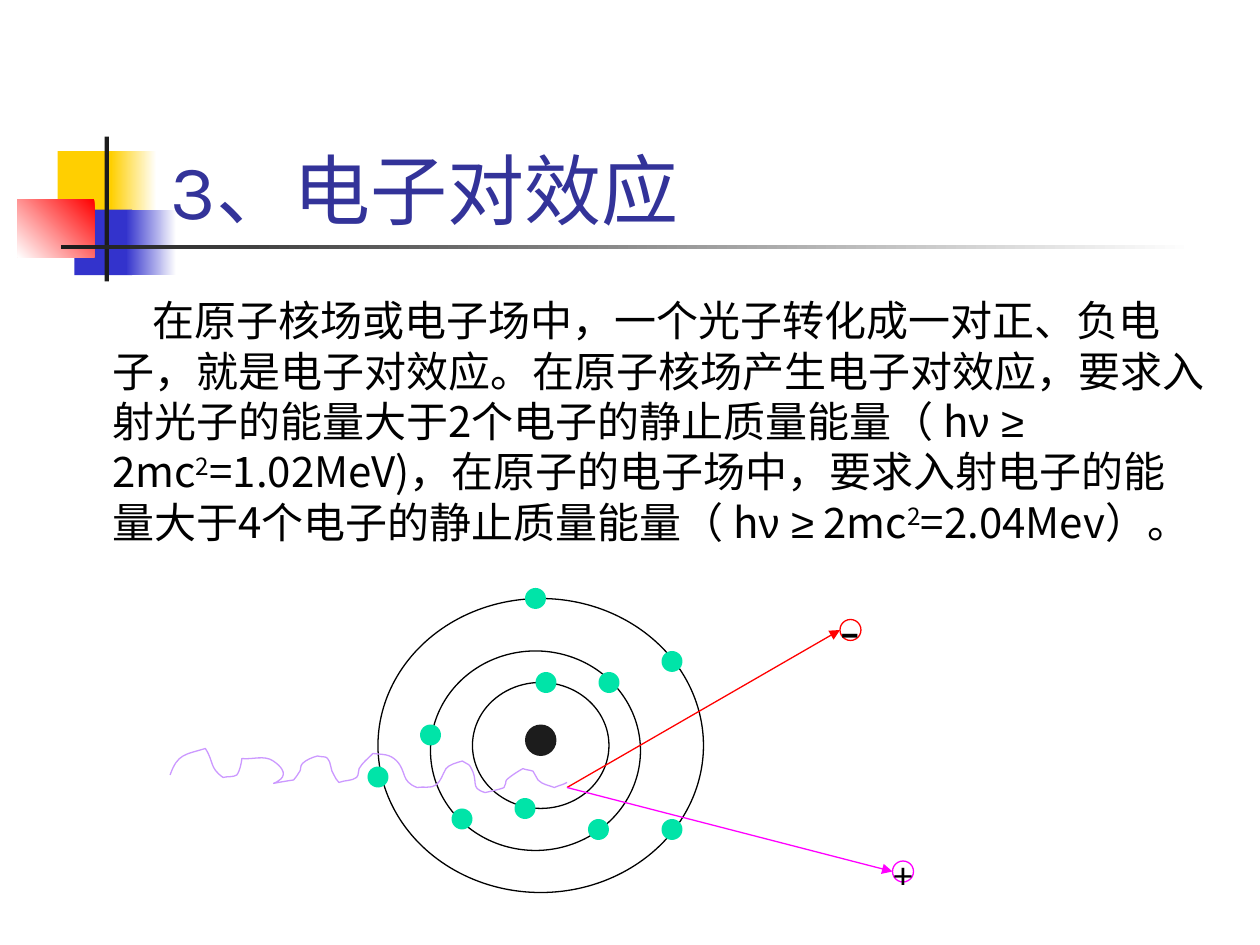
from lxml import etree
from pptx import Presentation
from pptx.dml.color import RGBColor
from pptx.enum import shapes, text
from pptx.oxml import ns
from pptx.util import Pt

BLACK = "000000"
CJK = "Noto Sans CJK SC"


def color(value):
    return RGBColor.from_string(value)


def add_run(paragraph, content, size, font, value):
    run = paragraph.add_run()
    run.text = content
    run.font.size = Pt(size)
    run.font.name = font
    run.font.color.rgb = color(value)
    east_asian = etree.SubElement(run.font._element, ns.qn("a:ea"))
    east_asian.set("typeface", CJK)
    return run


presentation = Presentation()
presentation.slide_width, presentation.slide_height = Pt(720), Pt(540)
slide = presentation.slides.add_slide(presentation.slide_layouts[1])
title, body = slide.placeholders

# Corner decoration: box, then a solid colour or (start, end, angle)
decoration = [
    (33, 86.4, 34.5, 37.5, "FFCF01"),
    (63.4, 86.4, 26, 37.5, ("FFFFFF", "FFCF01", 180)),
    (42.5, 119.8, 33, 37.5, "3333CC"),
    (72, 119.8, 28.8, 37.5, ("FFFFFF", "3333CC", 180)),
    (10, 113.8, 44, 33.1, ("FF0000", "FFFFFF", 225)),
    (59.8, 78, 2.4, 82.8, "1C1C1C"),
    (34.6, 140.1, 648, 2.5, ("FFFFFF", "1C1C1C", 180)),
]
for *box, paint in decoration:
    shape = slide.shapes.add_shape(shapes.MSO_SHAPE.RECTANGLE, *map(Pt, box))
    shape.shadow.inherit = False
    shape.line.fill.background()
    if isinstance(paint, str):
        shape.fill.solid()
        shape.fill.fore_color.rgb = color(paint)
    else:
        shape.fill.gradient()
        shape.fill.gradient_angle = paint[2]
        for stop, value in zip(shape.fill.gradient_stops, paint):
            stop.color.rgb = color(value)

# Title, brought in front of the decoration
title.left, title.top, title.width, title.height = map(Pt, (90.5, 48, 613.4, 90))
frame = title.text_frame
frame.auto_size = text.MSO_AUTO_SIZE.NONE
frame.vertical_anchor = text.MSO_ANCHOR.BOTTOM
paragraph = frame.paragraphs[0]
paragraph.alignment = text.PP_ALIGN.LEFT
add_run(paragraph, "3、电子对效应", 44, "Karla", "333399")

# Body text
body.left, body.top, body.width, body.height = map(Pt, (30, 156, 666, 330))
frame = body.text_frame
frame.auto_size = text.MSO_AUTO_SIZE.NONE
frame.margin_top = Pt(12.4)
paragraph = frame.paragraphs[0]
properties = paragraph._p.get_or_add_pPr()
properties.set("marL", str(Pt(27)))
properties.set("indent", str(Pt(23)))
properties.set("hangingPunct", "0")
etree.SubElement(properties, ns.qn("a:buNone"))
paragraph.space_before = Pt(0)
paragraph.line_spacing = Pt(28.8)
body_runs = [
    ("在原子核场或电子场中，一个光子转化成一对正、负电子，就是电子对效应。"
     "在原子核场产生电子对效应，要求入射光子的能量大于2个电子的静止质量能量（ h", CJK),
    ("ν ≥", "Arial"),
    (" 2mc", CJK),
    ("2", "superscript"),
    ("=1.02MeV)，在原子的电子场中，要求入射电子的能量大于4个电子的静止质量能量（ h", CJK),
    ("ν ≥", "Arial"),
    (" 2mc", CJK),
    ("2", "superscript"),
    ("=2.04Mev）。", CJK),
]
for content, style in body_runs:
    raised = style == "superscript"
    run = add_run(paragraph, content, 24, CJK if raised else style, BLACK)
    if raised:
        run.font._element.set("baseline", "30000")

for placeholder in (title, body):
    slide.shapes._spTree.append(placeholder._element)

# Atom and particles: left, top, width, height, fill, line, sign
circles = [
    (300, 414, 18, 18, "1C1C1C", None, None),
    (270, 390, 78, 72, None, BLACK, None),
    (246, 372, 120, 114, None, BLACK, None),
    (216, 342, 186, 168, None, BLACK, None),
]
electrons = [(300, 336), (240, 414), (306, 384), (294, 456), (336, 468),
             (378, 468), (210, 438), (378, 372), (342, 384), (258, 462)]
circles += [(x, y, 12, 12, "00E4A8", None, None) for x, y in electrons]
# Each sign: character, size
circles += [
    (480, 354, 12, 12, None, "FF0000", ("-", 32)),
    (510, 492, 12, 12, None, "FF00FF", ("+", 20)),
]
for *box, fill, line, sign in circles:
    shape = slide.shapes.add_shape(shapes.MSO_SHAPE.OVAL, *map(Pt, box))
    shape.shadow.inherit = False
    if fill:
        shape.fill.solid()
        shape.fill.fore_color.rgb = color(fill)
    else:
        shape.fill.background()
    if line:
        shape.line.color.rgb = color(line)
        shape.line.width = Pt(0.75)
    else:
        shape.line.fill.background()
    if sign:
        frame = shape.text_frame
        frame.word_wrap = False
        frame.vertical_anchor = text.MSO_ANCHOR.MIDDLE
        frame.paragraphs[0].alignment = text.PP_ALIGN.CENTER
        add_run(frame.paragraphs[0], *sign, "Karla", BLACK)

# Photon wave: cubic curves in inches, two handles and an end point each
wave_start = (1.35, 6.15)
wave_curves = [
    (1.41, 5.98, 1.47, 5.99, 1.63, 5.94), (1.7, 6.05, 1.66, 6.09, 1.77, 6.17),
    (1.81, 6.16, 1.85, 6.17, 1.88, 6.15), (1.91, 6.11, 1.92, 6.02, 1.92, 6.02),
    (2, 6.03, 2.1, 5.99, 2.17, 6.04), (2.43, 6.22, 1.93, 6.25, 2.33, 6.19),
    (2.35, 6.17, 2.36, 6.15, 2.38, 6.12), (2.39, 6.11, 2.38, 6.08, 2.4, 6.06),
    (2.43, 6.03, 2.48, 6.01, 2.52, 6), (2.55, 6.01, 2.59, 6, 2.6, 6.02),
    (2.63, 6.05, 2.62, 6.11, 2.65, 6.15), (2.66, 6.17, 2.67, 6.19, 2.69, 6.21),
    (2.74, 6.19, 2.79, 6.2, 2.83, 6.17), (2.85, 6.15, 2.84, 6.12, 2.85, 6.1),
    (2.88, 6.05, 2.91, 6.03, 2.96, 5.98), (3.04, 5.99, 3.09, 5.98, 3.15, 6.04),
    (3.23, 6.13, 3.18, 6.2, 3.31, 6.25), (3.36, 6.24, 3.42, 6.26, 3.46, 6.23),
    (3.5, 6.2, 3.51, 6.15, 3.54, 6.1), (3.56, 6.07, 3.63, 6.05, 3.67, 6.04),
    (3.69, 6.06, 3.72, 6.06, 3.73, 6.08), (3.81, 6.21, 3.72, 6.25, 3.85, 6.29),
    (3.85, 6.29, 3.99, 6.26, 4, 6.25), (4.02, 6.23, 4.01, 6.2, 4.02, 6.19),
    (4.06, 6.15, 4.15, 6.1, 4.15, 6.1), (4.17, 6.11, 4.2, 6.11, 4.23, 6.12),
    (4.25, 6.14, 4.25, 6.17, 4.27, 6.19), (4.31, 6.23, 4.35, 6.23, 4.4, 6.25),
    (4.47, 6.22, 4.44, 6.24, 4.5, 6.21),
]
builder = slide.shapes.build_freeform(*(Pt(72 * value) for value in wave_start))
builder.add_line_segments(
    [(Pt(72 * x), Pt(72 * y)) for *handles, x, y in wave_curves], close=False)
wave = builder.convert_to_shape()
wave.shadow.inherit = False
wave.fill.background()
wave.line.color.rgb = color("CC99FF")
wave.line.width = Pt(0.75)
# Bend each straight segment into its cubic curve
segments = list(wave._element.iter(ns.qn("a:lnTo")))
for segment, curve in zip(segments, wave_curves):
    bend = etree.Element(ns.qn("a:cubicBezTo"))
    for x, y in zip(curve[::2], curve[1::2]):
        point = etree.SubElement(bend, ns.qn("a:pt"))
        point.set("x", str(Pt(72 * x) - wave.left))
        point.set("y", str(Pt(72 * y) - wave.top))
    segment.getparent().replace(segment, bend)

# Tracks of the electron and the positron
for end_x, end_y, value in [(480, 360, "FF0000"), (510, 498, "FF00FF")]:
    track = slide.shapes.add_connector(
        shapes.MSO_CONNECTOR.STRAIGHT, Pt(324), Pt(450), Pt(end_x), Pt(end_y))
    track.line.color.rgb = color(value)
    track.line.width = Pt(0.75)
    arrowhead = etree.SubElement(track.line._get_or_add_ln(), ns.qn("a:tailEnd"))
    arrowhead.set("type", "triangle")
    etree.SubElement(track._element.spPr, ns.qn("a:effectLst"))

presentation.save("out.pptx")
